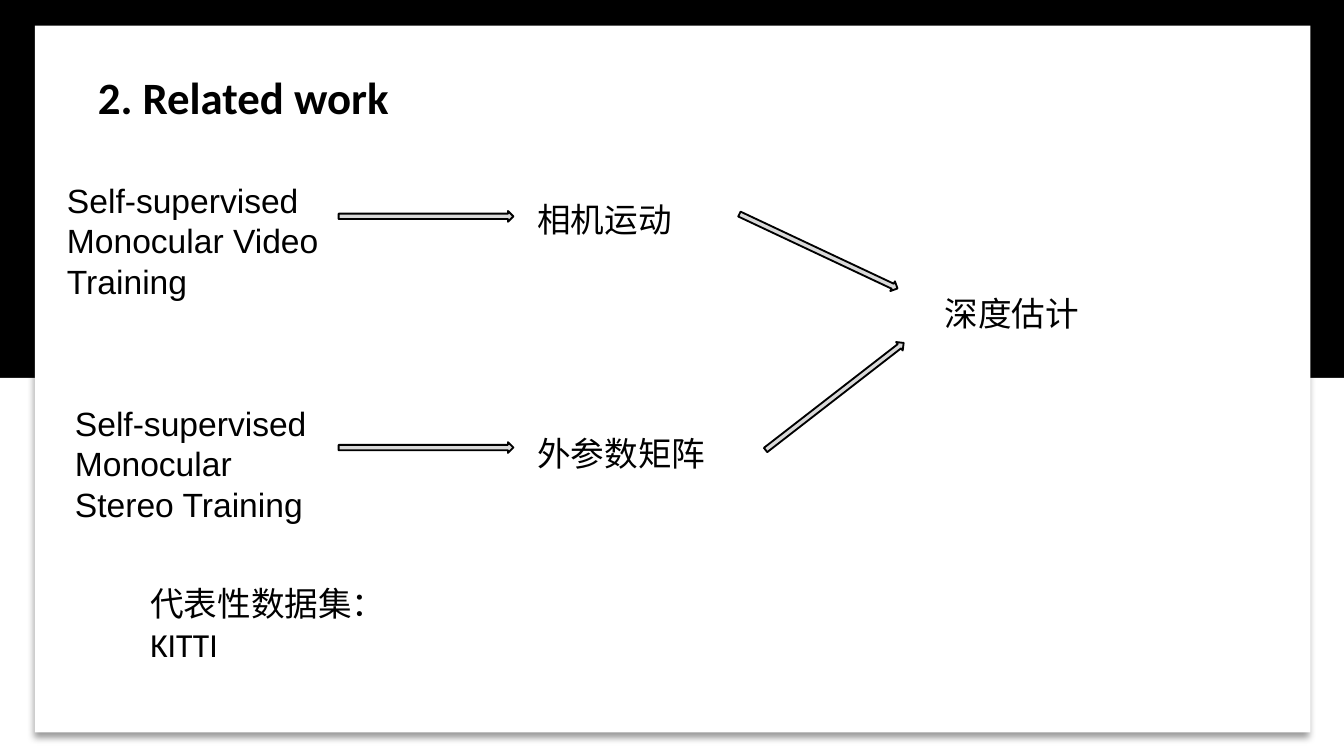
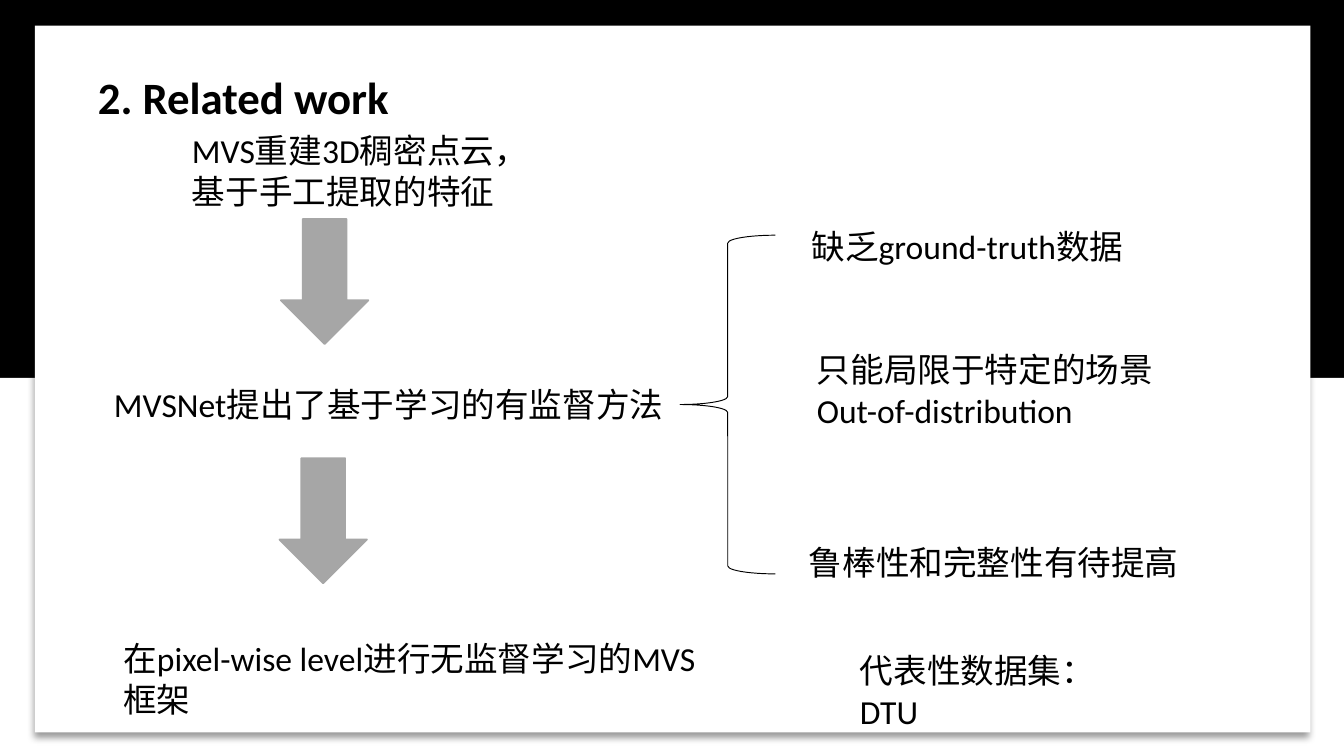
from dataclasses import dataclass

from pptx import Presentation
from pptx.dml.color import RGBColor
from pptx.enum.shapes import MSO_SHAPE
from pptx.enum.text import MSO_AUTO_SIZE
from pptx.oxml import parse_xml
from pptx.oxml.ns import nsdecls
from pptx.util import Inches, Pt


@dataclass(frozen=True)
class Theme:
    black: str = "000000"
    white: str = "FFFFFF"
    thin_arrow: str = "D9D9D9"
    block_arrow: str = "A6A6A6"
    font: str = "Calibri"
    label_font: str = "Arial"
    title_size: int = 24
    body_size: int = 18


class Deck:
    """Builds slides that share one theme, frame and title."""

    def __init__(self, theme):
        self.theme = theme
        self.prs = Presentation()
        self.prs.slide_width = Inches(10)
        self.prs.slide_height = Inches(10) * 9 // 16
        self.slide_shapes = self.shapes = None

    def slide(self, title):
        t = self.theme
        s = self.prs.slides.add_slide(self.prs.slide_layouts[6])
        s.background.fill.solid()
        s.background.fill.fore_color.rgb = RGBColor.from_string(t.black)
        self.slide_shapes = self.shapes = s.shapes
        half = self.prs.slide_height / Inches(2)
        self.shape(MSO_SHAPE.RECTANGLE, 0, half, 10, half, fill=t.white)
        card = self.shape(MSO_SHAPE.RECTANGLE, 0.26, 0.19, 9.49, 5.26, fill=t.white)
        self.drop_shadow(card)
        self.text(title, 0.63, 0.47, 2.43, 0.5, size=t.title_size, bold=True)

    def start_group(self):
        self.shapes = self.slide_shapes.add_group_shape().shapes

    def end_group(self):
        self.shapes = self.slide_shapes

    def drop_shadow(self, sp):
        effects = sp._element.spPr.find("{*}effectLst")
        effects.append(parse_xml(
            f'<a:outerShdw {nsdecls("a")} blurRad="{Pt(4)}" dist="{Pt(3)}" '
            f'dir="5400000" algn="t" rotWithShape="0">'
            f'<a:srgbClr val="{self.theme.black}"><a:alpha val="40000"/></a:srgbClr>'
            f'</a:outerShdw>'))

    def shape(self, kind, x, y, w, h, fill=None, line=None, weight=1, rotation=0):
        sp = self.shapes.add_shape(kind, Inches(x), Inches(y), Inches(w), Inches(h))
        sp.shadow.inherit = False
        sp.rotation = rotation
        if fill:
            sp.fill.solid()
            sp.fill.fore_color.rgb = RGBColor.from_string(fill)
        else:
            sp.fill.background()
        if line:
            sp.line.color.rgb = RGBColor.from_string(line)
            sp.line.width = Pt(weight)
        else:
            sp.line.fill.background()
        return sp

    def thin_arrow(self, x, y, rotation=0):
        t = self.theme
        self.shape(MSO_SHAPE.RIGHT_ARROW, x, y, 1.3, 0.08, t.thin_arrow, t.black,
                   rotation=rotation)

    def block_arrow(self, x, y):
        grey = self.theme.block_arrow
        self.shape(MSO_SHAPE.DOWN_ARROW, x, y, 0.65, 0.93, grey, grey)

    def brace(self, x, y, w, h):
        self.shape(MSO_SHAPE.LEFT_BRACE, x, y, w, h, line=self.theme.black, weight=0.5)

    def text(self, text, x, y, w, h=0.4, font=None, size=None, bold=False, wrap=True):
        t = self.theme
        tb = self.shapes.add_textbox(Inches(x), Inches(y), Inches(w), Inches(h))
        tf = tb.text_frame
        tf.word_wrap = wrap
        tf.auto_size = MSO_AUTO_SIZE.SHAPE_TO_FIT_TEXT
        tf.text = text
        for p in tf.paragraphs:
            p.font.name = font or t.font
            p.font.size = Pt(size or t.body_size)
            p.font.bold = bold
            p.font.color.rgb = RGBColor.from_string(t.black)


def depth_slide(deck):
    label_font = deck.theme.label_font
    deck.slide("2. Related work")
    deck.text("Self-supervised\nMonocular Video Training", 0.4, 1.29, 2.39, 1.01, label_font)
    deck.text("Self-supervised Monocular Stereo Training", 0.46, 2.95, 2.07, 1.01, label_font)
    for label, label_y, arrow_y in (("相机运动", 1.43, 1.57), ("外参数矩阵", 3.17, 3.29)):
        deck.thin_arrow(2.52, arrow_y)
        deck.text(label, 3.9, label_y, 1.76)
    deck.thin_arrow(5.44, 1.83, rotation=25.2)
    deck.thin_arrow(5.56, 2.91, rotation=322.2)
    deck.text("深度估计", 6.93, 2.13, 1.21, wrap=False)
    deck.text("代表性数据集：KITTI", 1.02, 4.29, 2.4)


def mvs_slide(deck):
    deck.slide("2. Related work")
    deck.text("MVS重建3D稠密点云，基于手工提取的特征", 1.33, 0.92, 2.79, 0.71)
    deck.text("MVSNet提出了基于学习的有监督方法", 0.75, 2.81, 4.47)
    deck.block_arrow(2.09, 1.63)
    deck.start_group()
    deck.brace(5.06, 1.75, 0.71, 2.52)
    deck.text("缺乏ground-truth数据", 5.94, 1.63, 2.96)
    deck.text("只能局限于特定的场景\nOut-of-distribution", 5.98, 2.55, 2.96, 0.71)
    deck.text("鲁棒性和完整性有待提高", 5.92, 3.98, 2.96)
    deck.end_group()
    deck.block_arrow(2.08, 3.41)
    deck.text("在pixel-wise level进行无监督学习的MVS框架", 0.82, 4.7, 4.47, 0.71)
    deck.text("代表性数据集：DTU", 6.3, 4.79, 2.3)


def main():
    deck = Deck(Theme())
    depth_slide(deck)
    mvs_slide(deck)
    deck.prs.save("out.pptx")


if __name__ == "__main__":
    main()
